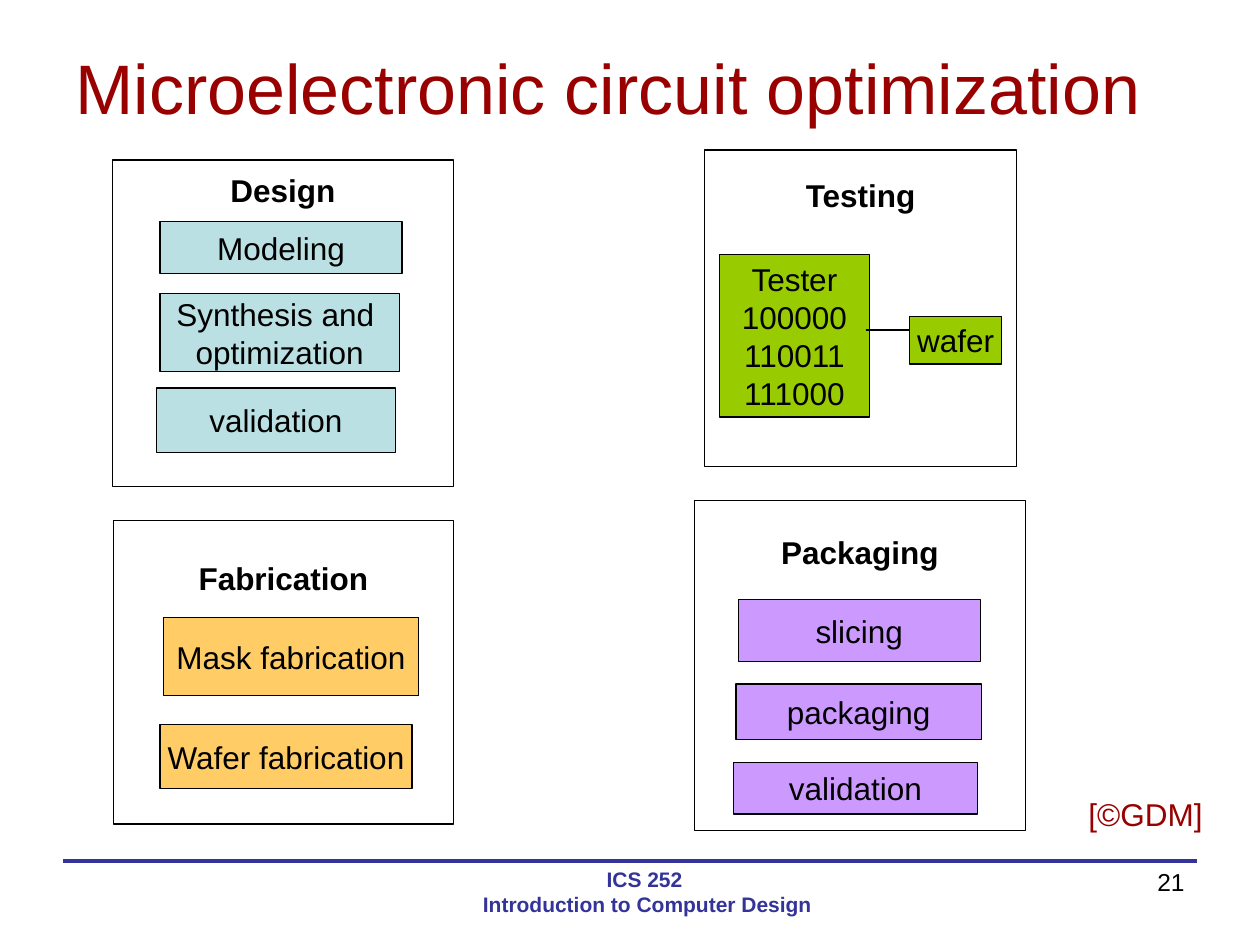
from typing import NamedTuple, Optional

from lxml import etree
from pptx import Presentation
from pptx import util as u
from pptx.dml.color import RGBColor
from pptx.enum import shapes, text
from pptx.oxml.ns import qn

BLACK = RGBColor(0x00, 0x00, 0x00)
WHITE = RGBColor(0xFF, 0xFF, 0xFF)
RED = RGBColor(0x99, 0x00, 0x00)
NAVY = RGBColor(0x33, 0x33, 0x99)
TEAL = RGBColor(0xBB, 0xE0, 0xE3)
AMBER = RGBColor(0xFF, 0xCC, 0x66)
GREEN = RGBColor(0x99, 0xCC, 0x00)
LILAC = RGBColor(0xCC, 0x99, 0xFF)

# The slide is a grid of 100 columns by 75 rows
COLS, ROWS = 100, 75
WIDTH, HEIGHT = u.Inches(10), u.Inches(7.5)

LEFT, MID, RIGHT = text.PP_ALIGN.LEFT, text.PP_ALIGN.CENTER, text.PP_ALIGN.RIGHT
TOP, CENTER = text.MSO_ANCHOR.TOP, text.MSO_ANCHOR.MIDDLE


class Area(NamedTuple):
    col: float
    row: float
    cols: float
    rows: float


class Step(NamedTuple):
    words: str
    area: Area


class Stage(NamedTuple):
    name: str
    area: Area
    drop: float  # rows from the top edge to the heading
    tint: RGBColor
    steps: tuple[Step, ...]
    fill: Optional[RGBColor] = None


STAGES = (
    Stage("Design", Area(8.9, 12.7, 27.1, 25.9), 0.9, TEAL, (
        Step("Modeling", Area(12.7, 17.6, 19.2, 4.1)),
        Step("Synthesis and \noptimization", Area(12.7, 23.3, 19, 6.2)),
        Step("validation", Area(12.4, 30.8, 19, 5.1)))),
    Stage("Fabrication", Area(9, 41.3, 27, 24.1), 3.1, AMBER, (
        Step("Mask fabrication", Area(13, 49, 20.2, 6.2)),
        Step("Wafer fabrication", Area(12.7, 57.5, 20, 5.1))), WHITE),
    Stage("Testing", Area(55.9, 11.9, 24.8, 25.1), 2.1, GREEN, (
        Step("Tester\n100000\n110011\n111000", Area(57.1, 20.2, 11.9, 12.9)),
        Step("wafer", Area(72.2, 25.1, 7.3, 3.8)))),
    Stage("Packaging", Area(55.1, 39.7, 26.3, 26.2), 2.6, LILAC, (
        Step("slicing", Area(58.6, 47.6, 19.2, 4.9)),
        Step("packaging", Area(58.4, 54.3, 19.5, 4.4)),
        Step("validation", Area(58.2, 60.5, 19.4, 4.1)))),
)


def across(cols: float) -> int:
    return round(WIDTH * cols / COLS)


def down(rows: float) -> int:
    return round(HEIGHT * rows / ROWS)


def place(area: Area) -> tuple[int, int, int, int]:
    return across(area.col), down(area.row), across(area.cols), down(area.rows)


def write(shape, words: str, *, size=18, color=BLACK, bold=False,
          align=MID, anchor=CENTER, wrap=False, grow=False, inset=0.5) -> None:
    frame = shape.text_frame
    frame.word_wrap = wrap
    if grow:
        frame.auto_size = text.MSO_AUTO_SIZE.SHAPE_TO_FIT_TEXT
    frame.vertical_anchor = anchor
    frame.margin_top = down(inset)
    for num, line in enumerate(words.split("\n")):
        para = frame.paragraphs[0] if num == 0 else frame.add_paragraph()
        para.alignment = align
        run = para.add_run()
        run.text = line
        font = run.font
        font.name, font.size, font.bold = "Arial", u.Pt(size), bold
        font.color.rgb = color


def label(slide, words: str, area: Area, **style) -> None:
    write(slide.shapes.add_textbox(*place(area)), words, **style)


def box(slide, words: str, area: Area, fill: Optional[RGBColor], **style) -> None:
    shape = slide.shapes.add_shape(shapes.MSO_SHAPE.RECTANGLE, *place(area))
    shape.shadow.inherit = False
    if fill is None:
        shape.fill.background()
    else:
        shape.fill.solid()
        shape.fill.fore_color.rgb = fill
    shape.line.color.rgb = BLACK
    shape.line.width = u.Pt(0.75)
    write(shape, words, **style)


def rule(slide, start: float, end: float, row: float, color: RGBColor,
         weight: float) -> None:
    line = slide.shapes.add_connector(
        shapes.MSO_CONNECTOR.STRAIGHT, across(start), down(row), across(end), down(row))
    line.line.color.rgb = color
    line.line.width = u.Pt(weight)
    etree.SubElement(line._element.spPr, qn("a:effectLst"))


def draw(slide, stage: Stage) -> None:
    box(slide, stage.name, stage.area, stage.fill, bold=True, anchor=TOP,
        inset=stage.drop)
    for step in stage.steps:
        box(slide, step.words, step.area, stage.tint)


def main() -> None:
    deck = Presentation()
    deck.slide_width, deck.slide_height = WIDTH, HEIGHT
    slide = deck.slides.add_slide(deck.slide_layouts[6])

    # Footer
    rule(slide, 5, 95, 68.3, NAVY, 2.25)
    label(slide, "21", Area(71.7, 68.3, 23.3, 5.2), size=14, align=RIGHT,
          anchor=TOP, wrap=True)
    label(slide, "ICS 252\n Introduction to Computer Design",
          Area(30.4, 68.3, 41.5, 5.2), size=12, color=NAVY, bold=True,
          anchor=TOP, wrap=True)

    # Title
    label(slide, "Microelectronic circuit optimization", Area(5, 3, 90, 7.8),
          size=40, color=RED, align=LEFT, wrap=True)

    # Stages, and the link from tester to wafer
    for stage in STAGES:
        draw(slide, stage)
    rule(slide, 68.7, 72.2, 26.2, BLACK, 0.75)

    # Credit
    label(slide, "[©GDM]", Area(85.4, 62.6, 11.2, 4), color=RED, align=LEFT,
          anchor=TOP, grow=True)

    deck.save("out.pptx")


if __name__ == "__main__":
    main()
